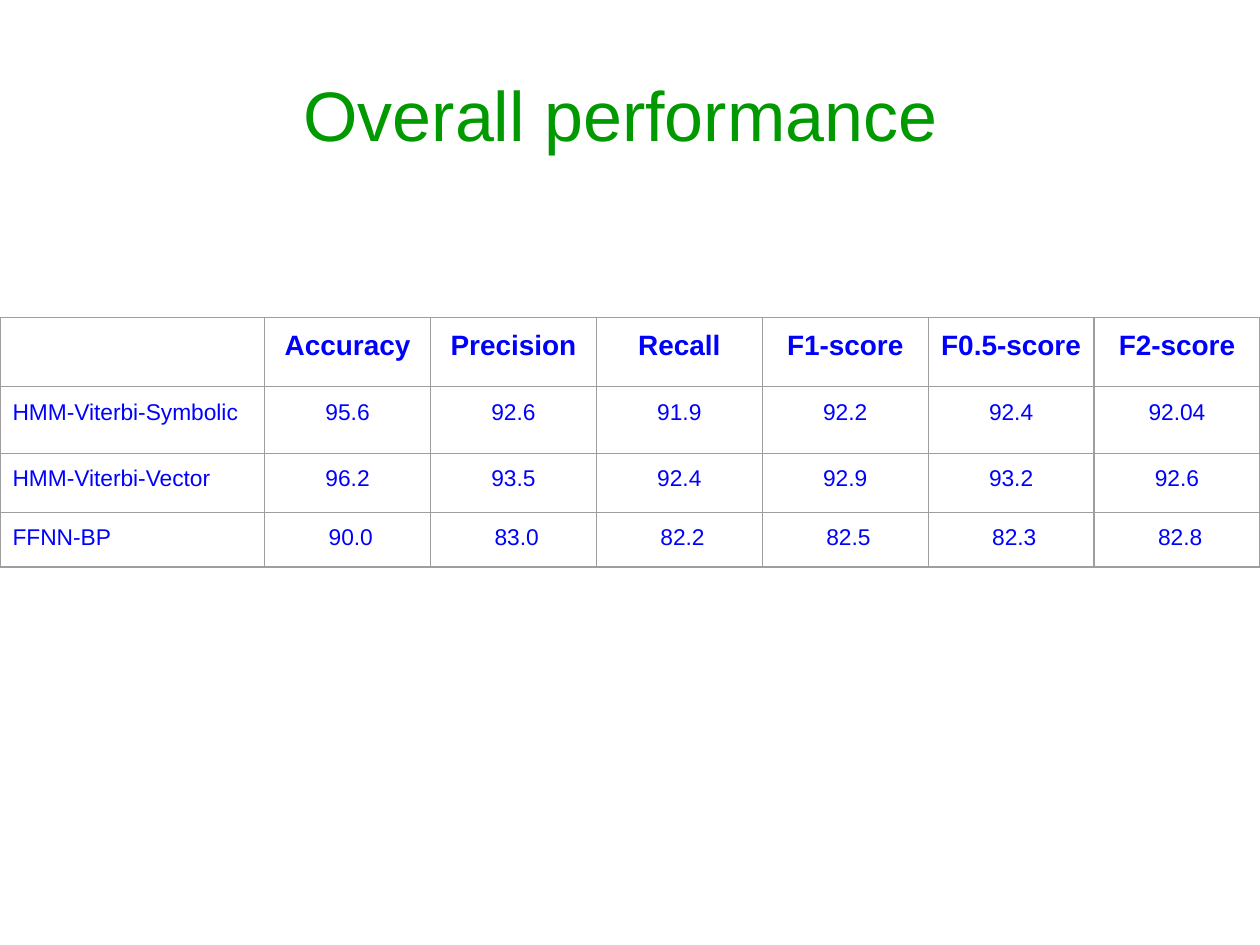
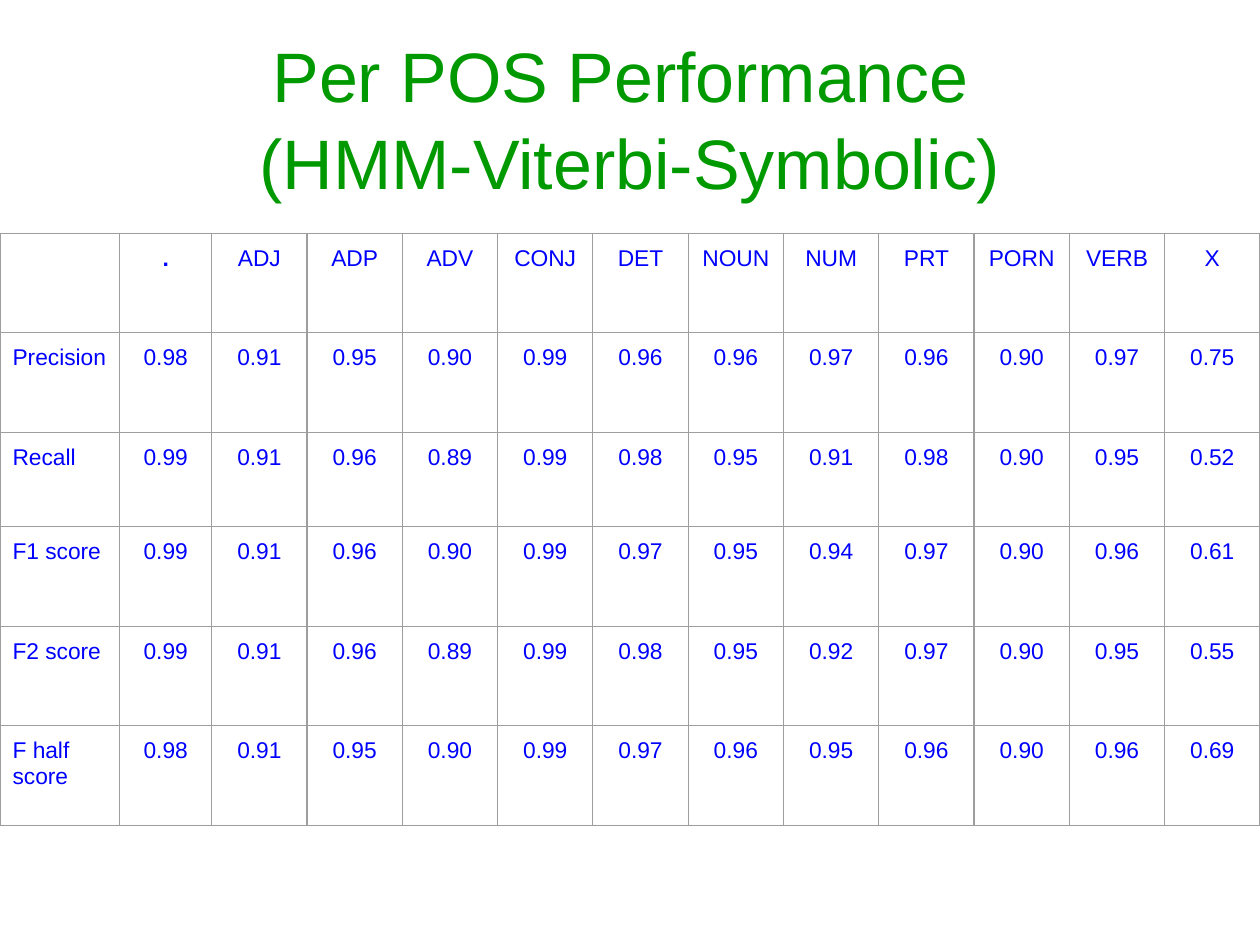
from lxml.etree import SubElement
from pptx import Presentation
from pptx.dml.color import RGBColor
from pptx.enum.text import MSO_ANCHOR, MSO_AUTO_SIZE, PP_ALIGN
from pptx.oxml.ns import qn
from pptx.util import Inches, Pt

FONT = "Arial"
TITLE_GREEN = RGBColor(0x00, 0x99, 0x00)
TABLE_BLUE = RGBColor(0x00, 0x00, 0xFF)
GRID_GREY = RGBColor(0x9E, 0x9E, 0x9E)
SLIDE_WIDTH, SLIDE_HEIGHT = 10, 7.5
TITLE_ONLY = 5
TITLE_LEFT, TITLE_WIDTH, TITLE_HEIGHT = 0.5, 9, 1.25
TITLE_LINE = 0.66
CELL_INSET = 0.1
BODY_SIZE = 13

# lead_columns are fixed widths; the other columns share the rest of the slide.
# inset_rows are rows whose figures sit slightly further right.
SLIDES = [
    dict(
        title="Overall performance ",
        title_top=0.59,
        title_bottom_inset=0.05 + TITLE_LINE,
        table_top=2.52,
        lead_columns=[2.1],
        row_heights=[0.55, 0.53, 0.47, 0.43],
        header_size=16,
        bold_headers={"Accuracy", "Precision", "Recall",
                      "F1-score", "F0.5-score", "F2-score"},
        inset_rows={"FFNN-BP"},
        rows=[
            ["", "Accuracy", "Precision", "Recall", "F1-score", "F0.5-score", "F2-score"],
            ["HMM-Viterbi-Symbolic", "95.6", "92.6", "91.9", "92.2", "92.4", "92.04"],
            ["HMM-Viterbi-Vector", "96.2", "93.5", "92.4", "92.9", "93.2", "92.6"],
            ["FFNN-BP", "90.0", "83.0", "82.2", "82.5", "82.3", "82.8"],
        ],
    ),
    dict(
        title="Per POS Performance \v(HMM-Viterbi-Symbolic)",
        title_top=0.3,
        title_bottom_inset=0.05,
        table_top=1.85,
        lead_columns=[0.95, 0.73],
        row_heights=[0.79, 0.79, 0.75, 0.79, 0.79, 0.79],
        header_size=BODY_SIZE,
        bold_headers={"."},
        inset_rows=set(),
        rows=[
            ["", ".", "ADJ", "ADP", "ADV", "CONJ", "DET",
             "NOUN", "NUM", "PRT", "PORN", "VERB", "X"],
            ["Precision", "0.98", "0.91", "0.95", "0.90", "0.99", "0.96",
             "0.96", "0.97", "0.96", "0.90", "0.97", "0.75"],
            ["Recall", "0.99", "0.91", "0.96", "0.89", "0.99", "0.98",
             "0.95", "0.91", "0.98", "0.90", "0.95", "0.52"],
            ["F1 score", "0.99", "0.91", "0.96", "0.90", "0.99", "0.97",
             "0.95", "0.94", "0.97", "0.90", "0.96", "0.61"],
            ["F2 score", "0.99", "0.91", "0.96", "0.89", "0.99", "0.98",
             "0.95", "0.92", "0.97", "0.90", "0.95", "0.55"],
            ["F half score", "0.98", "0.91", "0.95", "0.90", "0.99", "0.97",
             "0.96", "0.95", "0.96", "0.90", "0.96", "0.69"],
        ],
    ),
]


def set_font(para, size, color, bold=False):
    font = para.font
    font.name, font.size, font.bold = FONT, Pt(size), bold
    font.color.rgb = color


def add_title(page, content):
    box = page.shapes.title
    box.left, box.top = Inches(TITLE_LEFT), Inches(content["title_top"])
    box.width, box.height = Inches(TITLE_WIDTH), Inches(TITLE_HEIGHT)
    frame = box.text_frame
    frame.auto_size = MSO_AUTO_SIZE.NONE
    frame.vertical_anchor = MSO_ANCHOR.MIDDLE
    frame.margin_bottom = Inches(content["title_bottom_inset"])
    para = frame.paragraphs[0]
    para.text = content["title"]
    para.alignment = PP_ALIGN.CENTER
    para.line_spacing = 1.04
    set_font(para, 40, TITLE_GREEN)


def add_borders(cell):
    properties = cell._tc.get_or_add_tcPr()
    for position, side in enumerate(("lnL", "lnR", "lnT", "lnB")):
        line = SubElement(properties, qn(f"a:{side}"), w=str(Pt(0.75)))
        fill = SubElement(line, qn("a:solidFill"))
        SubElement(fill, qn("a:srgbClr"), val=str(GRID_GREY))
        properties.insert(position, line)


def add_score_table(page, content):
    rows, lead = content["rows"], content["lead_columns"]
    column_count = len(rows[0])
    shared = (SLIDE_WIDTH - sum(lead)) / (column_count - len(lead))
    widths = lead + [shared] * (column_count - len(lead))
    table = page.shapes.add_table(
        len(rows), column_count, 0, Inches(content["table_top"]),
        Inches(SLIDE_WIDTH), Inches(sum(content["row_heights"]))).table
    table.first_row = table.horz_banding = False
    for column, width in zip(table.columns, widths):
        column.width = Inches(width)
    for row, height in zip(table.rows, content["row_heights"]):
        row.height = Inches(height)

    for row_index, values in enumerate(rows):
        is_header = row_index == 0
        size = content["header_size"] if is_header else BODY_SIZE
        for column_index, value in enumerate(values):
            cell = table.cell(row_index, column_index)
            cell.fill.background()
            add_borders(cell)
            cell.margin_left = cell.margin_right = Inches(CELL_INSET)
            cell.margin_top = cell.margin_bottom = Inches(CELL_INSET)
            para = cell.text_frame.paragraphs[0]
            para.text = value
            set_font(para, size, TABLE_BLUE,
                     is_header and value in content["bold_headers"])
            if column_index:
                para.alignment = PP_ALIGN.CENTER
                if values[0] in content["inset_rows"]:
                    cell.margin_left = Inches(CELL_INSET + 0.05)


def main():
    deck = Presentation()
    deck.slide_width, deck.slide_height = Inches(SLIDE_WIDTH), Inches(SLIDE_HEIGHT)
    for content in SLIDES:
        page = deck.slides.add_slide(deck.slide_layouts[TITLE_ONLY])
        add_title(page, content)
        add_score_table(page, content)
    deck.save("out.pptx")


if __name__ == "__main__":
    main()
